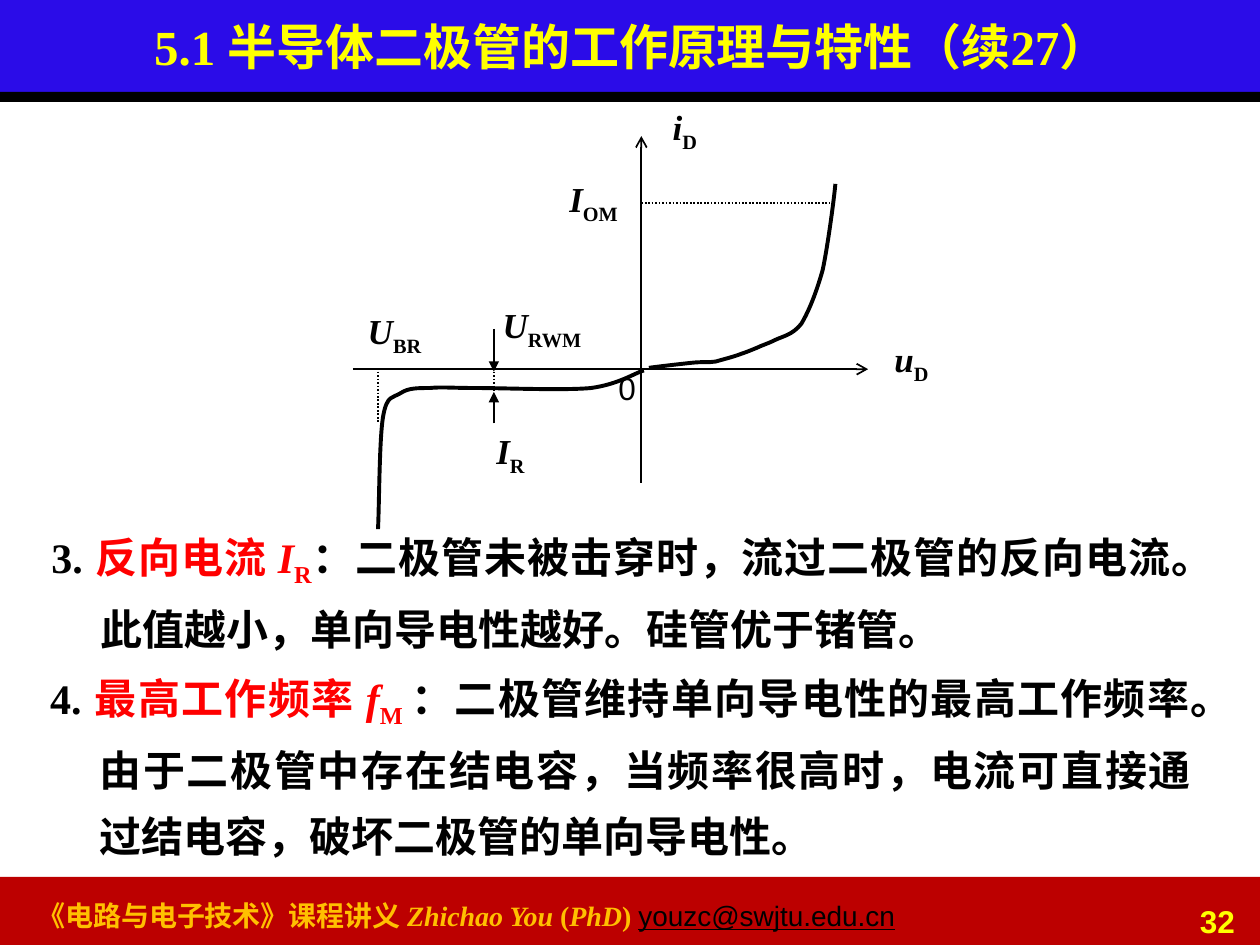
from dataclasses import dataclass
from typing import Optional

from lxml import etree
from pptx import Presentation
from pptx.dml.color import RGBColor
from pptx.enum.dml import MSO_LINE
from pptx.enum.shapes import MSO_CONNECTOR, MSO_SHAPE
from pptx.enum.text import MSO_ANCHOR, MSO_AUTO_SIZE, PP_ALIGN
from pptx.oxml.ns import qn
from pptx.util import Pt

EMU_PER_PX = 9144  # 100 px to the inch
COLORS = {
    "black": "000000", "blue": "2B0CE8", "crimson": "BC0000",
    "gold": "FFC000", "yellow": "FFFF00", "red": "FF0000",
}
SERIF, SANS = "Times New Roman", "Arial"
LEFT, CENTER, RIGHT, JUSTIFY = (
    PP_ALIGN.LEFT, PP_ALIGN.CENTER, PP_ALIGN.RIGHT, PP_ALIGN.JUSTIFY)
TOP, MIDDLE = MSO_ANCHOR.TOP, MSO_ANCHOR.MIDDLE
FIT_SHAPE, NO_FIT = MSO_AUTO_SIZE.SHAPE_TO_FIT_TEXT, MSO_AUTO_SIZE.NONE
DOTTED = MSO_LINE.ROUND_DOT
STRAIGHT, RECTANGLE = MSO_CONNECTOR.STRAIGHT, MSO_SHAPE.RECTANGLE

Point = tuple[int, int]
Box = tuple[int, int, int, int]


@dataclass(frozen=True)
class Run:
    text: str
    size: int
    color: str = "black"
    font: str = SERIF
    bold: bool = True
    italic: bool = False
    underline: bool = False
    subscript: bool = False


@dataclass(frozen=True)
class TextBlock:
    box: Box
    runs: list[Run]
    align: PP_ALIGN = LEFT
    anchor: MSO_ANCHOR = TOP
    wrap: bool = True
    fit: MSO_AUTO_SIZE = FIT_SHAPE
    hanging: int = 0
    line_spacing: Optional[float] = None


@dataclass(frozen=True)
class Bar:
    box: Box
    color: str


@dataclass(frozen=True)
class Line:
    start: Point
    end: Point
    arrow: Optional[str] = None
    dotted: bool = False


def px(value: int) -> int:
    return value * EMU_PER_PX


def rgb(name: str) -> RGBColor:
    return RGBColor.from_string(COLORS[name])


def draw_bar(shapes, bar: Bar) -> None:
    shape = shapes.add_shape(RECTANGLE, *map(px, bar.box))
    shape.shadow.inherit = False
    shape.fill.solid()
    shape.fill.fore_color.rgb = rgb(bar.color)
    shape.line.fill.background()


def draw_line(shapes, line: Line) -> None:
    connector = shapes.add_connector(STRAIGHT, *map(px, line.start + line.end))
    connector.line.color.rgb = rgb("black")
    connector.line.width = Pt(1)
    if line.dotted:
        connector.line.dash_style = DOTTED
    properties = connector._element.spPr
    if line.arrow:
        outline = properties.find(qn("a:ln"))
        etree.SubElement(outline, qn("a:tailEnd"), type=line.arrow)
    etree.SubElement(properties, qn("a:effectLst"))


def draw_curve(shapes, points: list[Point]) -> None:
    """Draw a start point followed by three Bezier points per segment."""
    builder = shapes.build_freeform(*points[0], scale=EMU_PER_PX)
    builder.add_line_segments(points[1:], close=False)
    curve = builder.convert_to_shape()
    curve.shadow.inherit = False
    curve.fill.background()
    curve.line.color.rgb = rgb("black")
    curve.line.width = Pt(2.25)
    outline = curve._element.spPr.find(".//" + qn("a:path"))
    steps = outline.findall(qn("a:lnTo"))
    for first in range(0, len(steps), 3):
        bezier = etree.SubElement(outline, qn("a:cubicBezTo"))
        for step in steps[first:first + 3]:
            bezier.append(step[0])
            outline.remove(step)


def draw_text(shapes, block: TextBlock) -> None:
    frame = shapes.add_textbox(*map(px, block.box)).text_frame
    frame.word_wrap = block.wrap
    frame.auto_size = block.fit
    frame.vertical_anchor = block.anchor
    paragraph = frame.paragraphs[0]
    paragraph.alignment = block.align
    if block.line_spacing:
        paragraph.line_spacing = block.line_spacing
    if block.hanging:
        indent = paragraph._p.get_or_add_pPr()
        indent.set("marL", str(px(block.hanging)))
        indent.set("indent", str(-px(block.hanging)))
    for part in block.runs:
        run = paragraph.add_run()
        run.text = part.text
        font = run.font
        font.name, font.size = part.font, Pt(part.size)
        font.bold, font.italic = part.bold, part.italic
        font.underline = part.underline
        font.color.rgb = rgb(part.color)
        if part.subscript:
            run._r.get_or_add_rPr().set("baseline", "-25000")


def symbol(letter: str, index: str, size: int = 20, color: str = "black") -> list[Run]:
    return [Run(letter, size, color, italic=True),
            Run(index, size, color, subscript=True)]


def axis_label(box: Box, letter: str, index: str) -> TextBlock:
    return TextBlock(box, symbol(letter, index), wrap=False)


def definition(box: Box, number: str, term: str, letter: str, index: str,
               meaning: str) -> TextBlock:
    runs = [Run(number, 24), Run(term, 24, "red"),
            *symbol(letter, index, 24, "red"), Run(meaning, 24)]
    return TextBlock(box, runs, JUSTIFY, hanging=39, line_spacing=1.3)


BARS = [
    Bar((0, 696, 1000, 54), "crimson"),
    Bar((0, 0, 1000, 76), "blue"),
    Bar((0, 73, 1000, 8), "black"),
]
FORWARD_CURVE = [
    (663, 146), (662, 158), (657, 195), (653, 214), (648, 232), (642, 247),
    (636, 257), (629, 266), (621, 267), (615, 270), (609, 273), (605, 274),
    (601, 276), (596, 278), (594, 279), (588, 281), (583, 283), (575, 285),
    (568, 287), (562, 288), (558, 287), (549, 288), (540, 289), (522, 291),
    (515, 292),
]
REVERSE_CURVE = [
    (511, 294), (504, 296), (491, 305), (469, 308), (447, 310), (400, 308),
    (379, 308), (358, 308), (351, 307), (341, 308), (331, 308), (324, 308),
    (318, 312), (312, 316), (307, 313), (304, 331), (301, 349), (301, 401),
    (300, 420),
]
LINES = [
    Line((280, 293), (689, 293), "arrow"),
    Line((509, 383), (509, 108), "arrow"),
    Line((509, 161), (659, 161), dotted=True),
    Line((392, 295), (392, 311), dotted=True),
    Line((300, 295), (300, 336), dotted=True),
    Line((392, 336), (392, 311), "triangle"),
    Line((392, 261), (392, 295), "triangle"),
]
TEXTS = [
    TextBlock((20, 708, 882, 37), [
        Run("《电路与电子技术》课程讲义 ", 16, "gold"),
        Run("Zhichao You ", 16, "gold", italic=True),
        Run("(", 16, "gold"),
        Run("PhD", 16, "gold", italic=True),
        Run(") ", 16, "gold"),
        Run("youzc@swjtu.edu.cn", 16, font=SANS, bold=False, underline=True),
    ]),
    TextBlock((0, 0, 1002, 73),
              [Run("5.1 半导体二极管的工作原理与特性（续27）", 28, "yellow")],
              CENTER, MIDDLE, fit=NO_FIT),
    TextBlock((896, 711, 94, 31), [Run("32", 18, "yellow", SANS)],
              RIGHT, fit=NO_FIT),
    axis_label((700, 263, 51, 44), "u", "D"),
    axis_label((524, 79, 41, 44), "i", "D"),
    TextBlock((481, 288, 37, 50), [Run("0", 18, font=SANS, bold=False)], wrap=False),
    axis_label((389, 236, 90, 44), "U", "RWM"),
    axis_label((384, 336, 45, 44), "I", "R"),
    axis_label((442, 136, 63, 44), "I", "OM"),
    axis_label((282, 241, 68, 44), "U", "BR"),
    definition((31, 403, 942, 110), "3. ", "反向电流 ", "I", "R",
               "：二极管未被击穿时，流过二极管的反向电流。"
               "此值越小，单向导电性越好。硅管优于锗管。"),
    definition((30, 515, 925, 168), "4. ", "最高工作频率 ", "f", "M ",
               "：二极管维持单向导电性的最高工作频率。由于二极管中存在结电容，"
               "当频率很高时，电流可直接通过结电容，破坏二极管的单向导电性。"),
]


def main() -> None:
    deck = Presentation()
    deck.slide_width, deck.slide_height = px(1000), px(750)
    shapes = deck.slides.add_slide(deck.slide_layouts[6]).shapes
    for bar in BARS:
        draw_bar(shapes, bar)
    for curve in (FORWARD_CURVE, REVERSE_CURVE):
        draw_curve(shapes, curve)
    for line in LINES:
        draw_line(shapes, line)
    for block in TEXTS:
        draw_text(shapes, block)
    deck.save("out.pptx")


if __name__ == "__main__":
    main()
